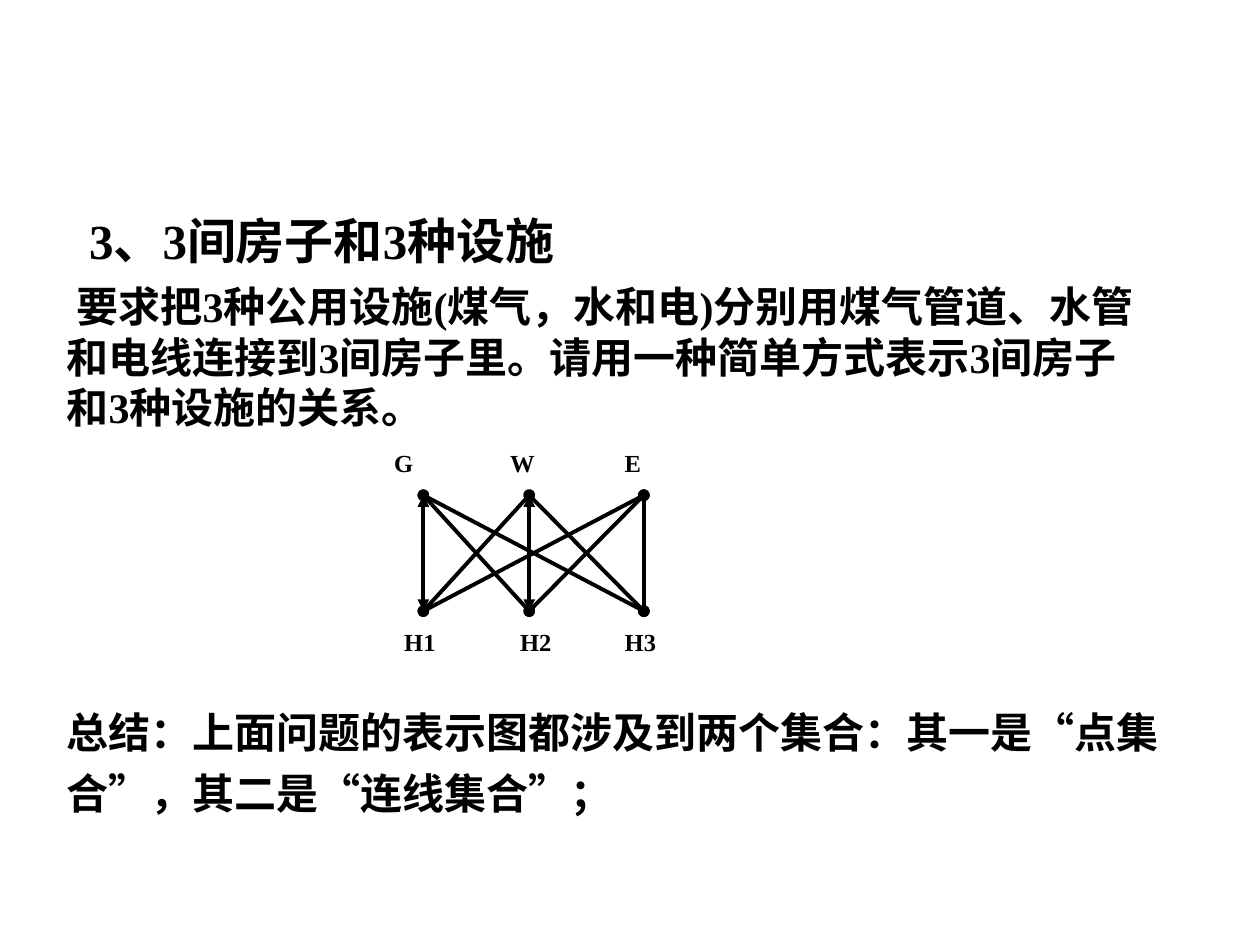
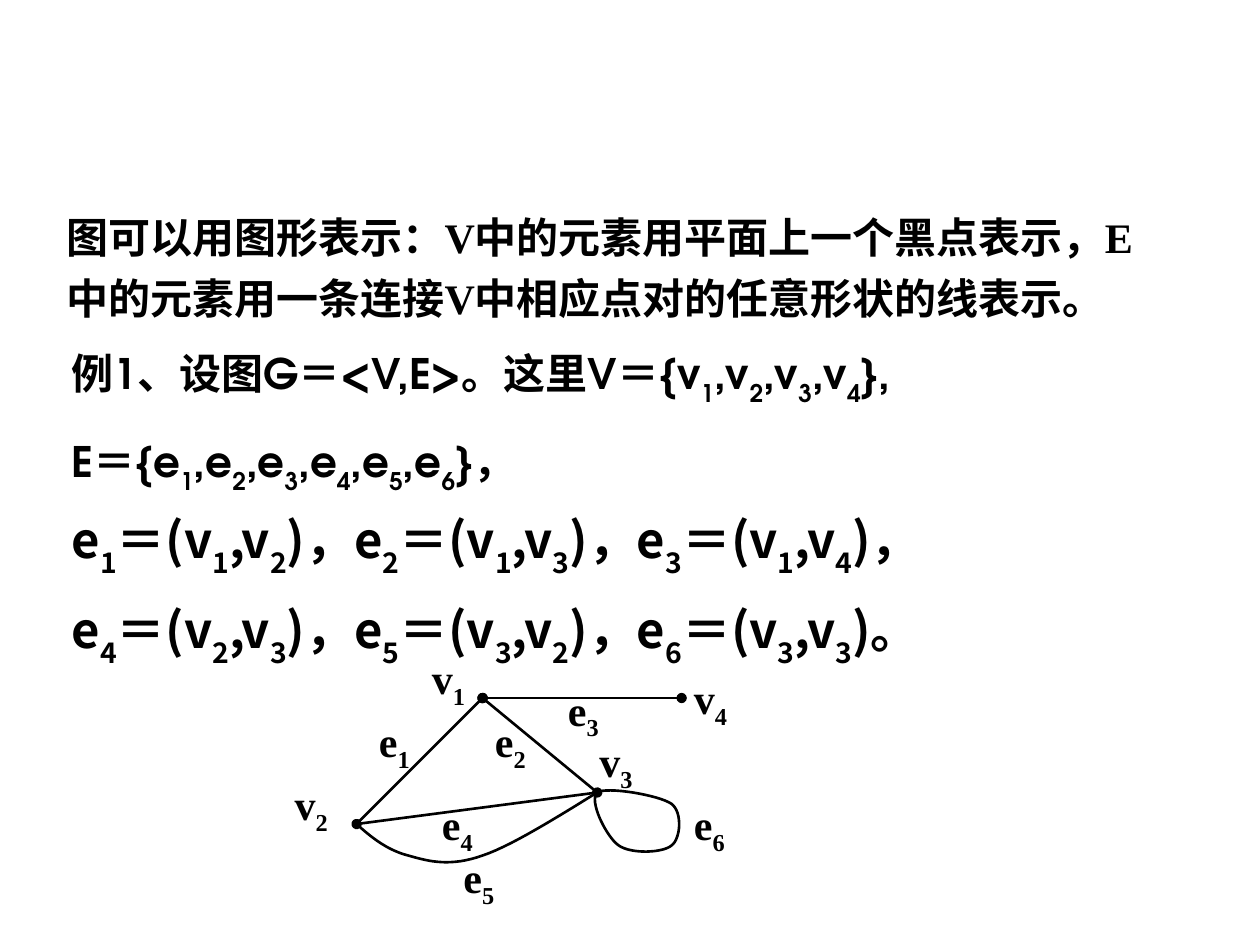
from lxml import etree
from pptx import Presentation
from pptx.dml.color import RGBColor
from pptx.enum.shapes import MSO_CONNECTOR
from pptx.enum.text import MSO_AUTO_SIZE, PP_ALIGN
from pptx.oxml.ns import qn
from pptx.util import Inches, Pt

BLACK = RGBColor(0, 0, 0)
WHITE = RGBColor(255, 255, 255)
SERIF, GEOMETRIC, CJK = "Times New Roman", "TeX Gyre Adventor", "Noto Sans CJK SC"
STRAIGHT = MSO_CONNECTOR.STRAIGHT
GROW = MSO_AUTO_SIZE.SHAPE_TO_FIT_TEXT
JUSTIFY = PP_ALIGN.JUSTIFY
COLS, ROWS = 100, 75
CURVE_STEPS = 16


def bezier(p0, p1, p2, p3):
    """Points along a cubic curve, without its start."""
    for i in range(1, CURVE_STEPS + 1):
        t = i / CURVE_STEPS
        u = 1 - t
        yield tuple(u**3 * a + 3 * u * u * t * b + 3 * u * t * t * c + t**3 * d
                    for a, b, c, d in zip(p0, p1, p2, p3))


class Deck:
    """Text and line style plus the current slide; lengths are grid units."""

    def __init__(self):
        self.prs = Presentation()
        self.prs.slide_width, self.prs.slide_height = Inches(10), Inches(7.5)
        self.s = None

    def new_slide(self):
        self.s = self.prs.slides.add_slide(self.prs.slide_layouts[6])
        fill = self.s.background.fill
        fill.solid()
        fill.fore_color.rgb = WHITE

    def x(self, col):
        return round(self.prs.slide_width * col / COLS)

    def y(self, row):
        return round(self.prs.slide_height * row / ROWS)

    def run(self, p, text, size, font, base=0):
        r = p.add_run()
        r.text = text
        for name, value in {"size": Pt(size), "name": font, "bold": True}.items():
            setattr(r.font, name, value)
        r.font.color.rgb = BLACK
        rPr = r.font._element
        etree.SubElement(rPr, qn("a:ea")).set("typeface", CJK)
        if base:
            rPr.set("baseline", str(base * 1000))

    def text(self, box, lines, size=24, font=SERIF, left=0, first=0, base=-30, gap=0, **fmt):
        """Text box, one paragraph a line; the character after "_" is a subscript."""
        col, row, width, height = box
        sp = self.s.shapes.add_textbox(self.x(col), self.y(row), self.x(width), self.y(height))
        tf = sp.text_frame
        tf.word_wrap, tf.auto_size = True, GROW
        for i, line in enumerate(lines):
            p = tf.paragraphs[0] if i == 0 else tf.add_paragraph()
            for name, value in fmt.items():
                setattr(p, name, value)
            if i:
                p.space_before = Pt(gap)
            pPr = p._p.get_or_add_pPr()
            pPr.set("marL", str(self.x(left)))
            pPr.set("indent", str(self.x(first)))
            head, *parts = line.split("_")
            self.run(p, head, size, font)
            for part in parts:
                self.run(p, part[0], size, font, base)
                if part[1:]:
                    self.run(p, part[1:], size, font)

    def label(self, text, col, row, width, height, size=24):
        self.text((col, row, width, height), [text], size, base=-25)

    def line(self, start, end, width=1.5, ends=None):
        c = self.s.shapes.add_connector(STRAIGHT, self.x(start[0]), self.y(start[1]),
                                        self.x(end[0]), self.y(end[1]))
        c.line.width = Pt(width)
        c.line.color.rgb = BLACK
        spPr = c._element.spPr
        if ends:
            for tag in ("a:headEnd", "a:tailEnd"):
                etree.SubElement(spPr.get_or_add_ln(), qn(tag)).set("type", ends)
        etree.SubElement(spPr, qn("a:effectLst"))

    def curve(self, start, segments, close=False):
        points, at = [], start
        for segment in segments:
            points += bezier(at, *segment)
            at = segment[-1]
        fb = self.s.shapes.build_freeform(self.x(start[0]), self.y(start[1]))
        fb.add_line_segments([(self.x(a), self.y(b)) for a, b in points], close=close)
        sp = fb.convert_to_shape()
        sp.shadow.inherit = False
        sp.fill.background()
        sp.line.width = Pt(1.5)
        sp.line.color.rgb = BLACK


HANGING = {"left": 5, "first": -5, "line_spacing": 1.2}
FORMULA = {"left": 3.8, "first": -3.8, "line_spacing": 1.3}


def houses_slide(deck):
    deck.new_slide()
    deck.text((2, 16.2, 82.5, 5.7), ["3、3间房子和3种设施"], 28, first=4.1)
    deck.text((4.3, 21.8, 88.3, 13),
              ["要求把3种公用设施(煤气，水和电)分别用煤气管道、水管 和电线连接到3间房子里。"
               "请用一种简单方式表示3间房子和3种设施的关系。"], first=0.8)
    columns, top, bottom = (33.6, 42, 51.1), 39.3, 48.5
    for i, supply in enumerate(columns):
        for j, house in enumerate(columns):
            ends = "triangle" if i == j < 2 else "oval"
            deck.line((supply, top), (house, bottom), 2.25, ends)
    for row, labels in ((35.1, (("G", 30.3), ("W", 39.5), ("E", 48.6))),
                        (49.3, (("H1", 31.1), ("H2", 40.3), ("H3", 48.6)))):
        for name, col in labels:
            deck.label(name, col, row, 6, 3.4, 14)
    deck.text((4.3, 54.8, 90.8, 10.6),
              ["总结：上面问题的表示图都涉及到两个集合：其一是“点集",
               "合”，其二是“连线集合”；"], **HANGING)


def graph_slide(deck):
    deck.new_slide()
    deck.text((4.3, 15.5, 90, 10.6),
              ["图可以用图形表示：V中的元素用平面上一个黑点表示，E",
               "中的元素用一条连接V中相应点对的任意形状的线表示。"], **HANGING)
    deck.text((4.7, 25.7, 92.5, 14.1),
              ["例1、设图G＝<V,E>。这里V＝{v_1,v_2,v_3,v_4},",
               "E＝{e_1,e_2,e_3,e_4,e_5,e_6}，"], font=GEOMETRIC, gap=6, **FORMULA)
    deck.text((4.7, 38.3, 85, 15.3),
              ["e_1＝(v_1,v_2)，e_2＝(v_1,v_3)，e_3＝(v_1,v_4)，",
               "e_4＝(v_2,v_3)，e_5＝(v_3,v_2)，e_6＝(v_3,v_3)。"],
              28, CJK, alignment=JUSTIFY, **FORMULA)

    v1, v2, v3, v4 = (38.3, 55.4), (28.3, 65.4), (47.4, 62.9), (54.1, 55.4)
    for end in (v2, v3, v4):
        deck.line(v1, end, ends="oval")
    deck.line(v2, v3)
    deck.curve(v2, [((29.5, 66.5), (30.8, 67.5), (32.4, 67.9)),
                    ((34.1, 68.4), (35.8, 68.8), (38.3, 67.9)),
                    ((40.8, 67.1), (45.9, 63.8), v3)])
    deck.curve(v3, [((48.1, 62.4), (52.3, 63.1), (53.3, 63.8)),
                    ((54.2, 64.5), (54, 66.6), (53.3, 67.1)),
                    ((52.6, 67.7), (50.1, 67.8), (49.1, 67.1)),
                    ((48.1, 66.4), (46.7, 63.5), v3)], close=True)
    vertices = ((33.3, 51.3), (22.4, 61.3), (46.6, 57.9), (54.1, 52.9))
    edges = ((29.1, 56.3), (38.3, 56.3), (44.1, 53.8), (34.1, 62.9), (35.8, 67.1), (54.1, 62.9))
    for letter, width, places in (("v", 7.7, vertices), ("e", 6, edges)):
        for n, (col, row) in enumerate(places, 1):
            deck.label(f"{letter}_{n}", col, row, width, 5.6)


def main():
    deck = Deck()
    houses_slide(deck)
    graph_slide(deck)
    deck.prs.save("out.pptx")


if __name__ == "__main__":
    main()
